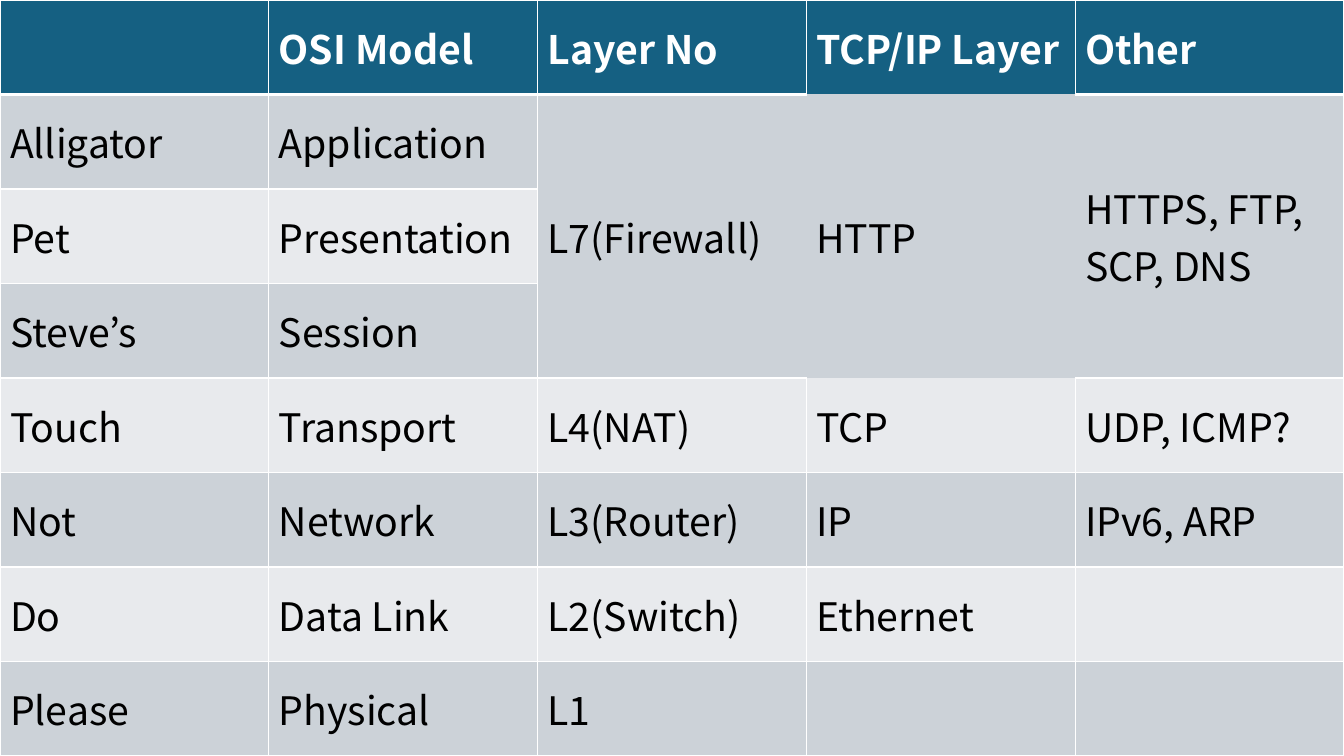
from lxml import etree
from pptx import Presentation
from pptx.dml.color import RGBColor
from pptx.enum import text
from pptx.oxml.ns import qn
from pptx.util import Inches, Pt

FONT = "Noto Sans CJK KR"
COLORS = {
    "head": "156082",
    "odd": "CCD2D8",
    "even": "E8EAED",
    "line": "FFFFFF",
    "title": "FFFFFF",
    "body": "000000",
}
ROWS = [
    ["", "OSI Model", "Layer No", "TCP/IP Layer", "Other"],
    ["Alligator", "Application", "L7(Firewall)", "HTTP", "HTTPS, FTP, SCP, DNS"],
    ["Pet", "Presentation", "", "", ""],
    ["Steve’s", "Session", "", "", ""],
    ["Touch", "Transport", "L4(NAT)", "TCP", "UDP, ICMP?"],
    ["Not", "Network", "L3(Router)", "IP", "IPv6, ARP"],
    ["Do", "Data Link", "L2(Switch)", "Ethernet", ""],
    ["Please", "Physical", "L1", "", ""],
]
SPAN = range(1, 4)  # rows merged in the last three columns
MERGED = range(2, 5)
OPEN = {(row, 3) for row in SPAN}  # the HTTP block has no outline
SIDES = {"L": (0, -1), "R": (0, 1), "T": (-1, 0), "B": (1, 0)}


def color(key):
    return RGBColor.from_string(COLORS[key])


def add_edge(cell, side, width):
    """Draw one cell border; a width of 0 leaves it open."""
    props = cell._tc.get_or_add_tcPr()
    line = etree.SubElement(props, qn(f"a:ln{side}"), w=str(Pt(width)))
    if not width:
        etree.SubElement(line, qn("a:noFill"))
        return
    fill = etree.SubElement(line, qn("a:solidFill"))
    etree.SubElement(fill, qn("a:srgbClr"), val=COLORS["line"])


def add_edges(cell, row, col):
    for side, (down, right) in SIDES.items():
        width = 3 if row == 0 and side == "B" else 1
        if OPEN & {(row, col), (row + down, col + right)}:
            width = 0
        add_edge(cell, side, width)


def paint(cell, row):
    key = "head" if row == 0 else "odd" if row % 2 else "even"
    cell.fill.solid()
    cell.fill.fore_color.rgb = color(key)


def write(cell, words, head, align):
    cell.vertical_anchor = text.MSO_ANCHOR.MIDDLE
    para = cell.text_frame.paragraphs[0]
    para.alignment = align
    run = para.add_run()
    run.text = words
    font = run.font
    font.name = FONT
    font.size = Pt(28)
    font.bold = head
    font.color.rgb = color("title" if head else "body")
    etree.SubElement(run._r.get_or_add_rPr(), qn("a:ea"), typeface=FONT)


def add_grid(slide, width, height):
    frame = slide.shapes.add_table(len(ROWS), len(ROWS[0]), 0, 0, width, height)
    table = frame.table
    table.horz_banding = False
    for row, line in enumerate(ROWS):
        for col, words in enumerate(line):
            cell = table.cell(row, col)
            add_edges(cell, row, col)
            paint(cell, row)
            if words:
                wraps = row == SPAN[0] and col == MERGED[-1]
                align = text.PP_ALIGN.LEFT if wraps else text.PP_ALIGN.JUSTIFY
                write(cell, words, row == 0, align)
    for col in MERGED:
        table.cell(SPAN[0], col).merge(table.cell(SPAN[-1], col))


def main():
    deck = Presentation()
    deck.slide_width = Inches(13.33)
    deck.slide_height = Inches(7.5)
    slide = deck.slides.add_slide(deck.slide_layouts[6])
    add_grid(slide, deck.slide_width, deck.slide_height)
    deck.save("out.pptx")


if __name__ == "__main__":
    main()
